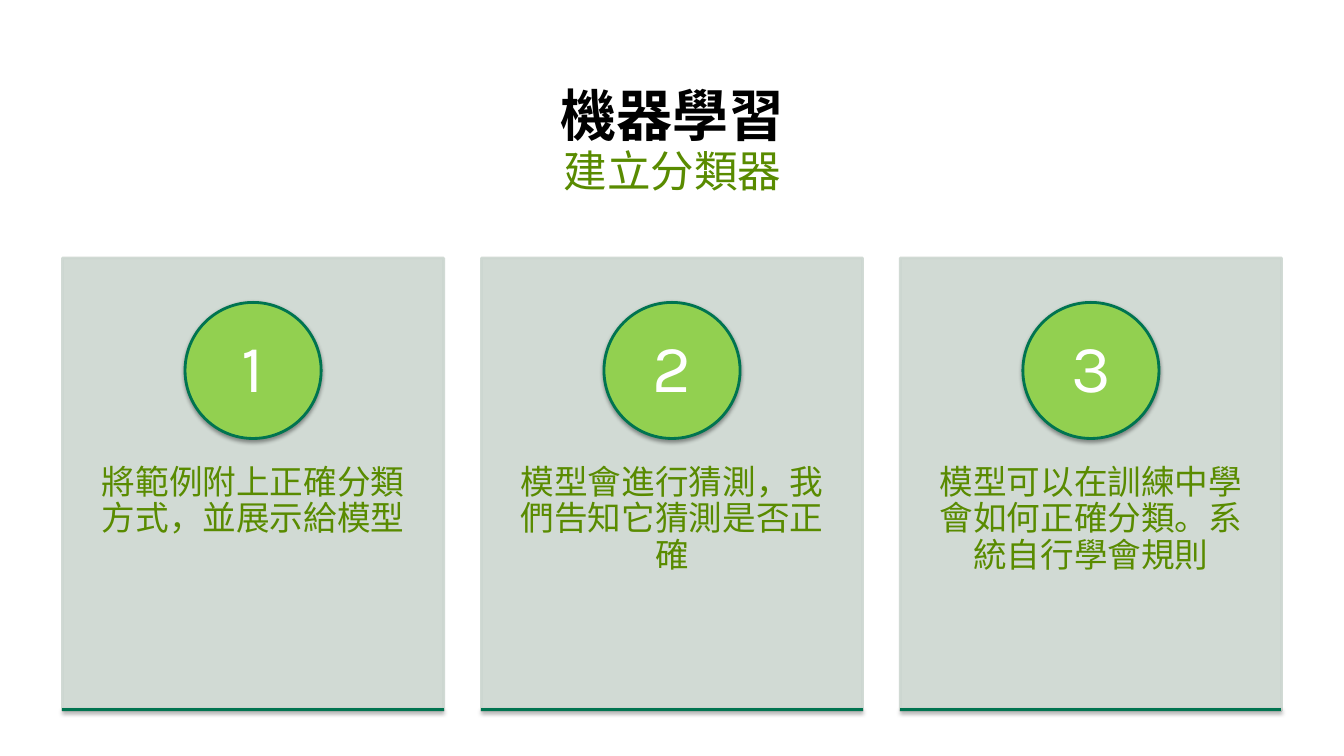
from lxml import etree
from pptx import Presentation
from pptx.dml.color import RGBColor
from pptx.enum.shapes import MSO_CONNECTOR, MSO_SHAPE
from pptx.enum.text import MSO_ANCHOR, PP_ALIGN
from pptx.oxml import parse_xml
from pptx.oxml.ns import nsdecls, qn
from pptx.util import Inches, Pt

RECT, OVAL = MSO_SHAPE.RECTANGLE, MSO_SHAPE.OVAL
LINE = MSO_CONNECTOR.STRAIGHT
TOP, MIDDLE, BOTTOM = MSO_ANCHOR.TOP, MSO_ANCHOR.MIDDLE, MSO_ANCHOR.BOTTOM
CENTER = PP_ALIGN.CENTER

FONT = "Karla"
COLORS = {
    "title": "000000",
    "text": "598B00",
    "card": "CCD6D0",
    "disc": "92D050",
    "edge": "007450",
    "digit": "FFFFFF",
}
STEPS = [
    "將範例附上正確分類方式，並展示給模型",
    "模型會進行猜測，我們告知它猜測是否正確",
    "模型可以在訓練中學會如何正確分類。系統自行學會規則",
]


def color(name):
    return RGBColor.from_string(COLORS[name])


def add_text(shapes, box, text, size, tone, anchor=TOP, pad=(0.1, 0.05), bold=False):
    frame = shapes.add_textbox(*map(Inches, box)).text_frame
    frame.word_wrap = True
    frame.vertical_anchor = anchor
    frame.margin_left = frame.margin_right = Inches(pad[0])
    frame.margin_top = frame.margin_bottom = Inches(pad[1])
    para = frame.paragraphs[0]
    para.alignment = CENTER
    para.line_spacing = 0.9
    run = para.add_run()
    run.text = text
    run.font.name = FONT
    run.font.size = Pt(size)
    run.font.bold = bold
    run.font.color.rgb = color(tone)


def add_shape(shapes, kind, box, fill, line):
    shape = shapes.add_shape(kind, *map(Inches, box))
    shape.shadow.inherit = False
    shape.fill.solid()
    shape.fill.fore_color.rgb = color(fill)
    shape.line.color.rgb = color(line)
    shape.line.width = Pt(2)
    return shape


def fade(shape, percent):
    for tint in shape._element.spPr.iter(qn("a:srgbClr")):
        etree.SubElement(tint, qn("a:alpha")).set("val", str(percent * 1000))


def add_shadow(shape):
    props = shape._element.spPr
    for old in props.findall(qn("a:effectLst")):
        props.remove(old)
    props.append(parse_xml(
        f'<a:effectLst {nsdecls("a")}>'
        f'<a:outerShdw blurRad="{Pt(3.1)}" dist="{Pt(1.6)}" dir="5400000" rotWithShape="0">'
        '<a:srgbClr val="000000"><a:alpha val="38000"/></a:srgbClr>'
        '</a:outerShdw></a:effectLst>'))


def add_head(slide, box):
    left, top, width, height = box
    split = 0.72
    add_text(slide.shapes, (left, top, width, split), "機器學習", 40, "title",
             anchor=BOTTOM, bold=True)
    add_text(slide.shapes, (left, top + 0.64, width, height - 0.64), "建立分類器",
             31.1, "text")


def add_card(slide, box, number, text):
    left, top, width, height = box
    shapes = slide.shapes.add_group_shape().shapes

    # Panel and its text
    fade(add_shape(shapes, RECT, box, "card", "card"), 90)
    add_text(shapes, (left, top + 1.7, width, height - 1.8), text, 24, "text",
             pad=(0.29, 0.36))

    # Numbered disc
    size, inset = 1.35, 0.2
    x, y = left + (width - size) / 2, top + 0.44
    add_shadow(add_shape(shapes, OVAL, (x, y, size, size), "disc", "edge"))
    inner = size - 2 * inset
    add_text(shapes, (x + inset, y + inset, inner, inner), str(number), 48, "digit",
             anchor=MIDDLE, pad=(0.1, 0.01))

    # Bottom rule
    base = top + height - 0.01
    rule = shapes.add_connector(LINE, *map(Inches, (left, base, left + width, base)))
    rule.line.color.rgb = color("edge")
    rule.line.width = Pt(2)
    add_shadow(rule)


def add_cards(slide, box):
    left, top, width, height = box
    gap = 0.375
    count = len(STEPS)
    wide = (width - gap * (count - 1)) / count
    for i, text in enumerate(STEPS):
        add_card(slide, (left + i * (wide + gap), top, wide, height), i + 1, text)


def main():
    deck = Presentation()
    deck.slide_width, deck.slide_height = Inches(13.33), Inches(7.5)
    slide = deck.slides.add_slide(deck.slide_layouts[6])
    add_head(slide, (0.61, 0.8, 12.12, 1.28))
    add_cards(slide, (0.62, 2.56, 12.09, 4.49))
    deck.save("out.pptx")


if __name__ == "__main__":
    main()
